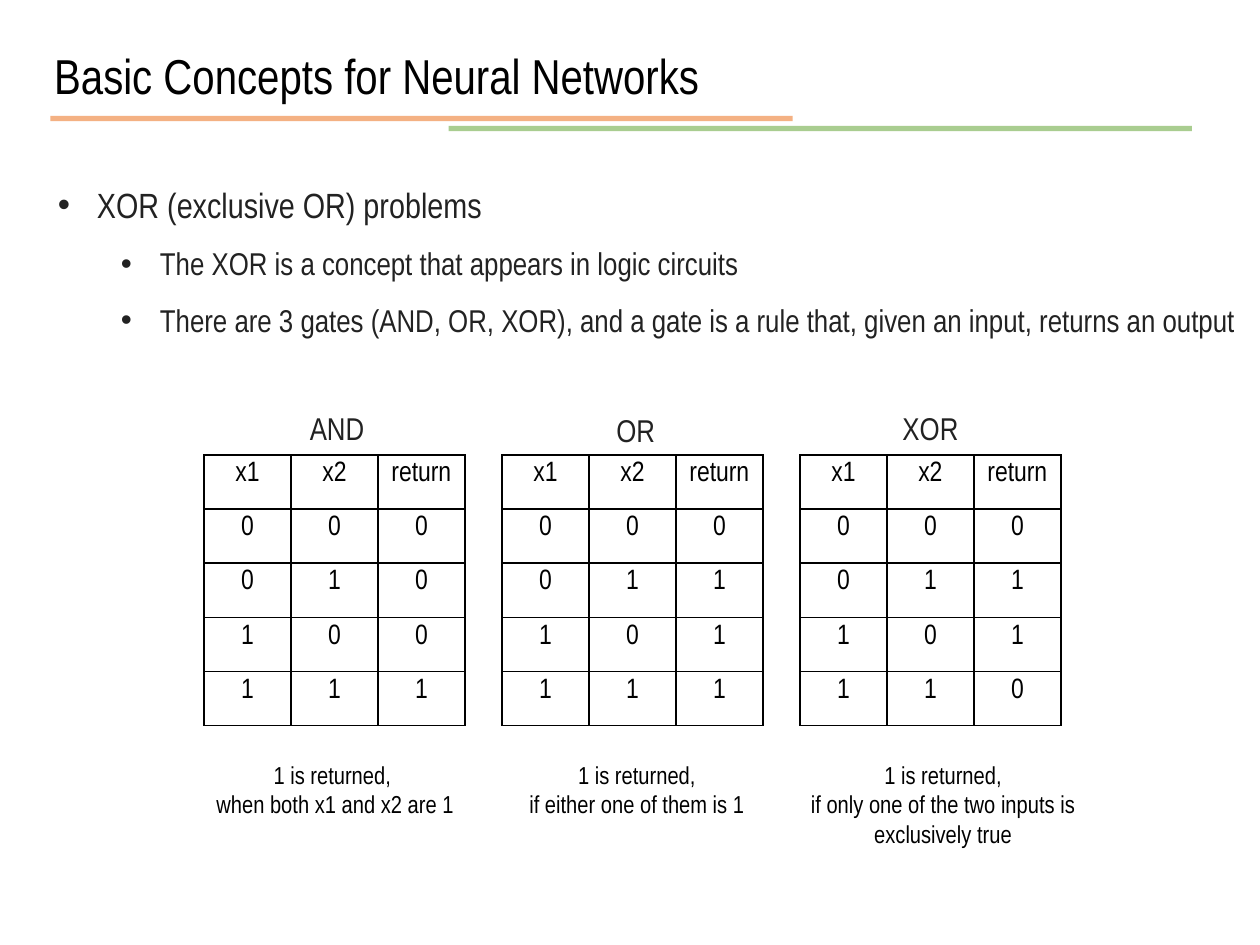
"""Build a slide comparing the AND, OR and XOR gates with truth tables."""
from dataclasses import dataclass

from lxml import etree
from pptx import Presentation
from pptx.dml.color import RGBColor
from pptx.enum.shapes import MSO_CONNECTOR
from pptx.enum.text import MSO_ANCHOR, MSO_AUTO_SIZE, PP_ALIGN
from pptx.oxml.ns import qn
from pptx.util import Inches, Pt

LEFT, CENTER = PP_ALIGN.LEFT, PP_ALIGN.CENTER
TOP = MSO_ANCHOR.TOP
GROW = MSO_AUTO_SIZE.SHAPE_TO_FIT_TEXT
STRAIGHT = MSO_CONNECTOR.STRAIGHT

FONT = "Arial Narrow"
COLORS = {"black": "000000", "gray": "222222", "orange": "ED7D31", "green": "70AD47"}
INPUTS = [(0, 0), (0, 1), (1, 0), (1, 1)]
TABLE_LEFT, TABLE_TOP, TABLE_STEP = 1.62, 3.61, 2.365
COLUMN_WIDTH, ROW_HEIGHT = 0.69, 0.43


@dataclass
class Box:
    left: float
    top: float
    width: float
    height: float

    def lengths(self) -> tuple:
        return tuple(Inches(v) for v in (self.left, self.top, self.width, self.height))


@dataclass
class Gate:
    name: str
    outputs: tuple
    label_box: Box
    rule: str
    rule_box: Box
    wraps: bool = True


@dataclass
class Rule:
    left: float
    right: float
    top: float
    color: str


@dataclass
class Bullet:
    text: str
    level: int
    indent: float
    size: int


GATES = [
    Gate("AND", (0, 0, 0, 1), Box(2.29, 3.2, 0.77, 0.4),
         "1 is returned, \vwhen both x1 and x2 are 1", Box(1.54, 5.98, 2.24, 0.57)),
    Gate("OR", (0, 1, 1, 1), Box(4.66, 3.21, 0.77, 0.4),
         "1 is returned,\nif either one of them is 1", Box(4.07, 5.98, 1.97, 0.57), False),
    Gate("XOR", (0, 1, 1, 0), Box(7, 3.2, 0.77, 0.4),
         "1 is returned,\nif only one of the two inputs is exclusively true",
         Box(6.33, 5.98, 2.31, 0.81)),
]
RULES = [Rule(0.4, 6.29, 0.94, "orange"), Rule(3.56, 9.46, 1.02, "green")]
BULLETS = [
    Bullet("XOR (exclusive OR) problems", 0, 0.31, 20),
    Bullet("The XOR is a concept that appears in logic circuits", 1, 0.81, 18),
    Bullet("There are 3 gates (AND, OR, XOR), and a gate is a rule that, "
           "given an input, returns an output", 1, 0.81, 18),
]


def format_paragraph(paragraph, size: int, color: str, align=CENTER) -> None:
    paragraph.alignment = align
    paragraph.font.name = FONT
    paragraph.font.size = Pt(size)
    paragraph.font.color.rgb = RGBColor.from_string(COLORS[color])


def place(placeholder, box: Box):
    placeholder.left, placeholder.top, placeholder.width, placeholder.height = box.lengths()
    frame = placeholder.text_frame
    frame.word_wrap, frame.auto_size, frame.vertical_anchor = True, GROW, TOP
    return frame


def draw_title(slide) -> None:
    frame = place(slide.shapes.title, Box(0.33, 0.08, 9.34, 0.72))
    frame.text = "Basic Concepts for Neural Networks"
    frame.paragraphs[0].line_spacing = 1.5
    format_paragraph(frame.paragraphs[0], 28, "black", LEFT)


def draw_bullets(slide) -> None:
    frame = place(slide.placeholders[1], Box(0.36, 1.24, 9.79, 1.51))
    frame.text = "\n".join(bullet.text for bullet in BULLETS)
    for paragraph, bullet in zip(frame.paragraphs, BULLETS):
        paragraph.level = bullet.level
        paragraph.line_spacing = 1.5
        paragraph.space_before = Pt(0)
        properties = paragraph._p.get_or_add_pPr()
        properties.set("marL", str(Inches(bullet.indent)))
        properties.set("indent", str(Inches(-0.31)))
        etree.SubElement(properties, qn("a:buFont"), typeface="Arial")
        etree.SubElement(properties, qn("a:buChar"), char="•")
        format_paragraph(paragraph, bullet.size, "gray", LEFT)


def draw_rule(slide, rule: Rule) -> None:
    connector = slide.shapes.add_connector(
        STRAIGHT, Inches(rule.left), Inches(rule.top), Inches(rule.right), Inches(rule.top))
    connector.line.width = Pt(3)
    connector.line.color.rgb = RGBColor.from_string(COLORS[rule.color])
    properties = connector._element.spPr
    color = properties.find(".//" + qn("a:srgbClr"))
    etree.SubElement(color, qn("a:alpha"), val="60000")
    etree.SubElement(properties, qn("a:effectLst"))


def draw_text(slide, text: str, box: Box, size: int, color: str, wraps: bool = True) -> None:
    frame = slide.shapes.add_textbox(*box.lengths()).text_frame
    frame.word_wrap, frame.auto_size = wraps, GROW
    frame.text = text
    for paragraph in frame.paragraphs:
        format_paragraph(paragraph, size, color)


def add_borders(cell) -> None:
    properties = cell._tc.get_or_add_tcPr()
    for side in ("lnL", "lnR", "lnT", "lnB"):
        border = etree.SubElement(properties, qn(f"a:{side}"), w=str(Pt(1)))
        fill = etree.SubElement(border, qn("a:solidFill"))
        etree.SubElement(fill, qn("a:srgbClr"), val=COLORS["black"])


def draw_truth_table(slide, gate: Gate, left: float) -> None:
    rows = [("x1", "x2", "return")]
    rows += [(*pair, output) for pair, output in zip(INPUTS, gate.outputs)]
    box = Box(left, TABLE_TOP, 3 * COLUMN_WIDTH, len(rows) * ROW_HEIGHT)
    table = slide.shapes.add_table(len(rows), 3, *box.lengths()).table
    table.first_row = table.horz_banding = False
    for row_index, values in enumerate(rows):
        for column_index, value in enumerate(values):
            cell = table.cell(row_index, column_index)
            cell.text = str(value)
            format_paragraph(cell.text_frame.paragraphs[0], 16, "black")
            add_borders(cell)
            cell.fill.background()


def main() -> None:
    presentation = Presentation()
    presentation.slide_width, presentation.slide_height = Inches(10), Inches(7.5)
    slide = presentation.slides.add_slide(presentation.slide_layouts[1])
    for rule in RULES:
        draw_rule(slide, rule)
    draw_title(slide)
    draw_bullets(slide)
    for index, gate in enumerate(GATES):
        draw_truth_table(slide, gate, TABLE_LEFT + index * TABLE_STEP)
        draw_text(slide, gate.name, gate.label_box, 18, "gray")
        draw_text(slide, gate.rule, gate.rule_box, 14, "black", gate.wraps)
    presentation.save("out.pptx")


if __name__ == "__main__":
    main()
